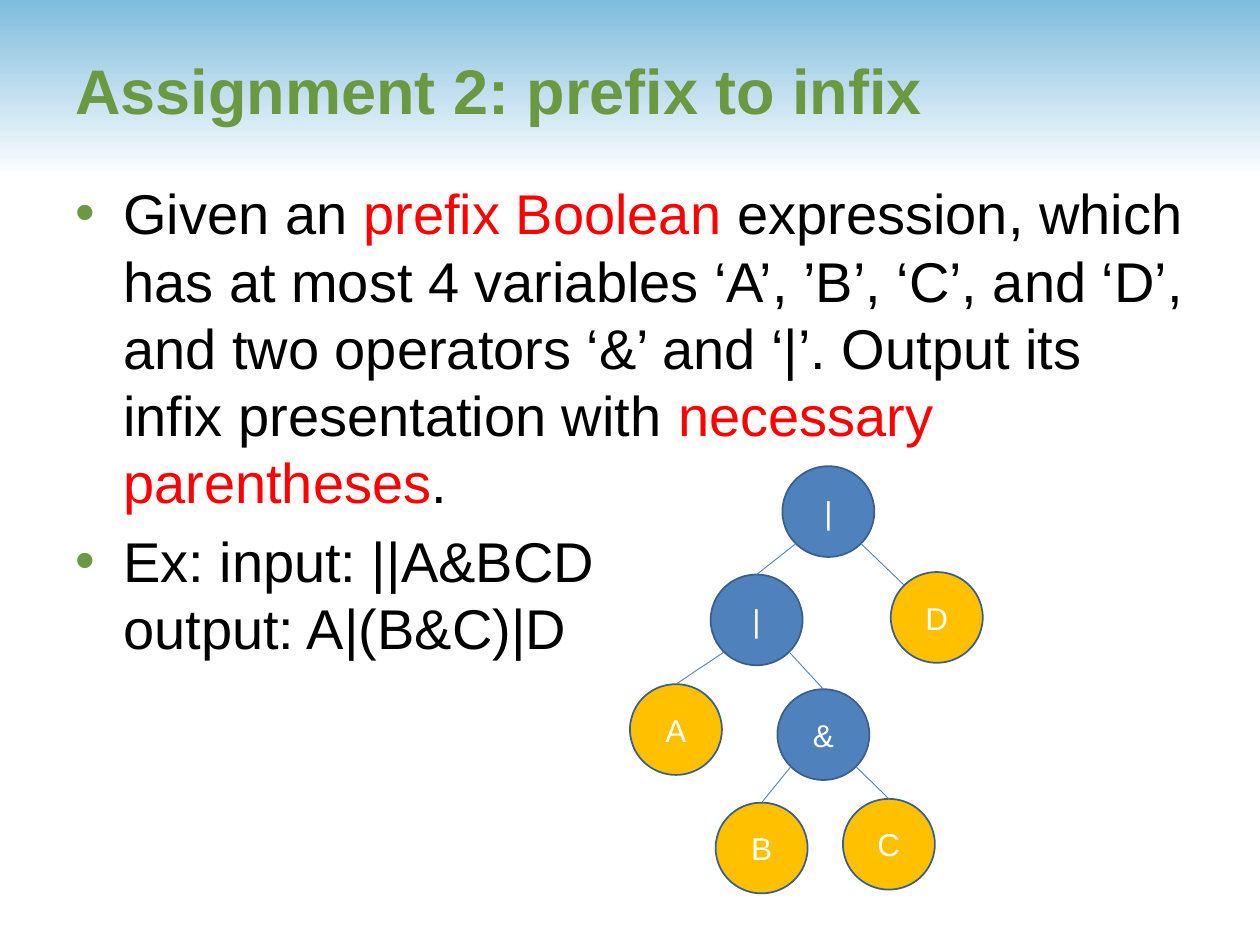
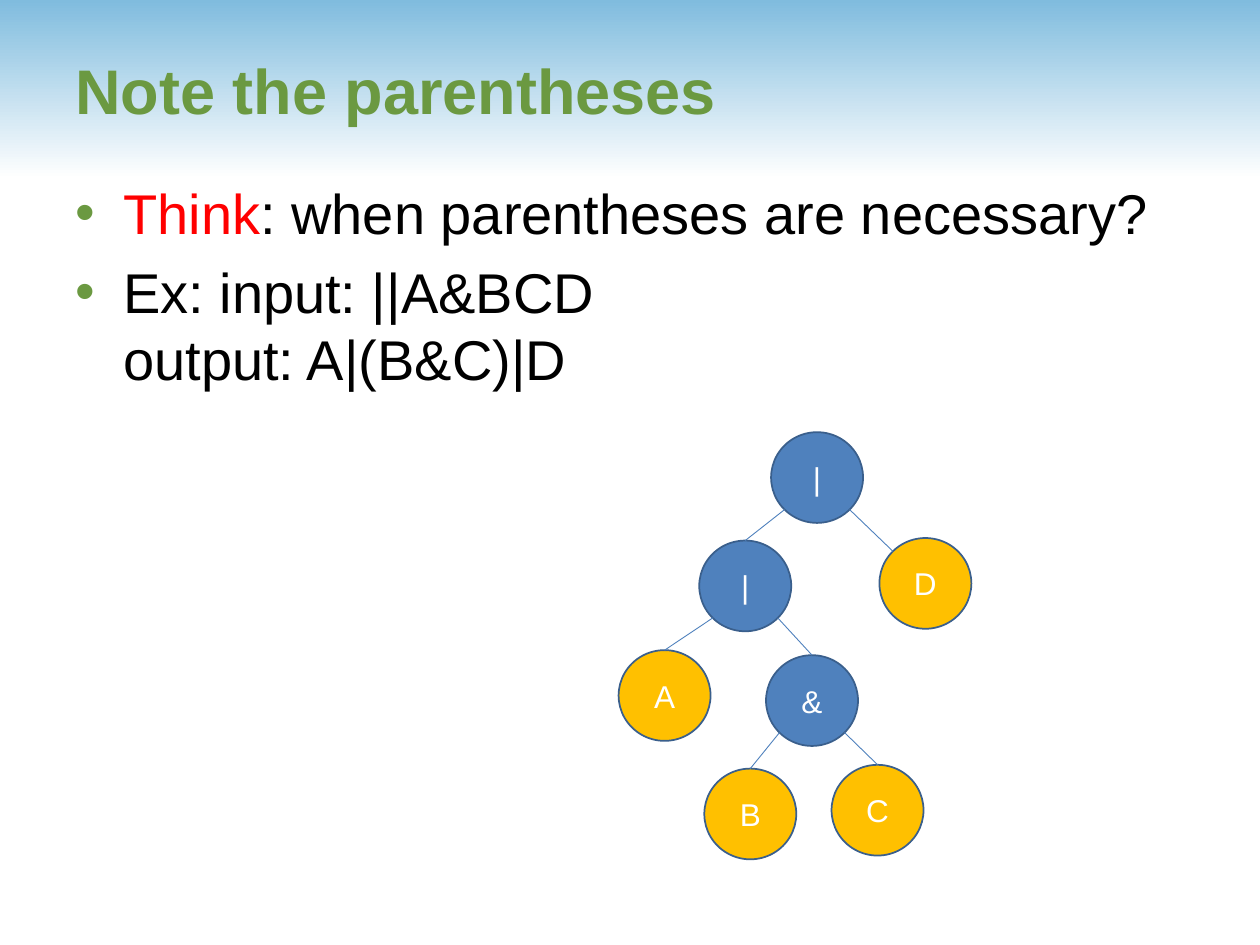
import dataclasses
import pptx
import pptx.util
import pptx.dml.color
import pptx.enum.shapes
import pptx.enum.text
import pptx.oxml
import pptx.oxml.ns

Inches = pptx.util.Inches
Pt = pptx.util.Pt
RGB = pptx.dml.color.RGBColor.from_string
SHAPE = pptx.enum.shapes.MSO_SHAPE
ALIGN = pptx.enum.text.PP_ALIGN
ANCHOR = pptx.enum.text.MSO_ANCHOR


@dataclasses.dataclass(frozen=True)
class Theme:
    """Hold the colours, type sizes and line widths of both slides."""
    font: str = "Arial"
    green: str = "6B9941"
    black: str = "000000"
    red: str = "FF0000"
    white: str = "FFFFFF"
    sky: str = "80BCDE"
    operator: str = "4F81BD"
    variable: str = "FFC000"
    outline: str = "3A5F8C"
    title_size: int = 36
    body_size: int = 32
    node_size: int = 18
    outline_width: float = 1
    edge_width: float = 0.5


THEME = Theme()
NODE_WIDTH, NODE_HEIGHT = 0.73, 0.72
DIAGONAL = 0.5 ** 0.5 / 2
PORTS = {
    "top": (0.5, 0),
    "top left": (0.5 - DIAGONAL, 0.5 - DIAGONAL),
    "bottom left": (0.5 - DIAGONAL, 0.5 + DIAGONAL),
    "bottom right": (0.5 + DIAGONAL, 0.5 + DIAGONAL),
}
NODES = {
    "root": ("|", 1.21, 0),
    "inner or": ("|", 0.64, 0.86),
    "D": ("D", 2.07, 0.84),
    "A": ("A", 0, 1.73),
    "and": ("&", 1.17, 1.77),
    "B": ("B", 0.68, 2.67),
    "C": ("C", 1.69, 2.64),
}
EDGES = [
    ("root", "bottom left", "inner or", "top"),
    ("root", "bottom right", "D", "top left"),
    ("inner or", "bottom left", "A", "top"),
    ("inner or", "bottom right", "and", "top"),
    ("and", "bottom left", "B", "top"),
    ("and", "bottom right", "C", "top"),
]
EXAMPLE = [("Ex: input: ||A&BCD\voutput: A|(B&C)|D", THEME.black)]
SLIDES = [
    ("Assignment 2: prefix to infix", [
        ("Given an ", THEME.black),
        ("prefix Boolean ", THEME.red),
        ("expression, which has at most 4 variables ‘A’, ’B’, ‘C’, and ‘D’, "
         "and two operators ‘&’ and ‘|’. Output its infix presentation with ", THEME.black),
        ("necessary parentheses", THEME.red),
        (".", THEME.black),
    ], (5, 3.7)),
    ("Note the parentheses", [
        ("Think", THEME.red),
        (": when parentheses are necessary?", THEME.black),
    ], (4.91, 3.43)),
]


def apply_format(target, values):
    """Set every attribute named in values on target."""
    for name, value in values.items():
        setattr(target, name, value)


def add_text(paragraph, text, size, colour, bold=False):
    """Append one formatted stretch of text, with its line breaks."""
    for index, line in enumerate(text.split("\v")):
        if index:
            paragraph.add_line_break()
        run = paragraph.add_run()
        run.text = line
        apply_format(run.font, {"name": THEME.font, "size": Pt(size), "bold": bold})
        run.font.color.rgb = RGB(colour)


def add_frame(slide, left, top, width, height, anchor):
    """Add a wrapping text area and return its text frame."""
    area = slide.shapes.add_textbox(Inches(left), Inches(top), Inches(width), Inches(height))
    apply_format(area.text_frame, {"word_wrap": True, "vertical_anchor": anchor})
    return area.text_frame


def add_band(slide):
    """Draw the sky gradient across the top of the slide."""
    band = slide.shapes.add_shape(SHAPE.PENTAGON, 0, 0, Inches(10), Inches(1.42))
    band.adjustments[0] = 0
    band.shadow.inherit = False
    band.line.fill.background()
    band.fill.gradient()
    band.fill.gradient_angle = 270
    for stop, colour in zip(band.fill.gradient_stops, (THEME.sky, THEME.white)):
        stop.color.rgb = RGB(colour)


def add_title(slide, title):
    """Write the slide title over the band."""
    heading = add_frame(slide, 0.5, 0.08, 9.08, 1.25, ANCHOR.MIDDLE)
    add_text(heading.paragraphs[0], title, THEME.title_size, THEME.green, bold=True)


def set_bullet(paragraph):
    """Give a paragraph a hanging green bullet and space above."""
    paragraph.space_before = Pt(THEME.body_size * 0.2)
    properties = paragraph._p.get_or_add_pPr()
    properties.set("marL", str(Inches(0.38)))
    properties.set("indent", str(Inches(-0.38)))
    namespace = pptx.oxml.ns.nsdecls("a")
    for markup in (f'<a:buClr {namespace}><a:srgbClr val="{THEME.green}"/></a:buClr>',
                   f'<a:buFont {namespace} typeface="{THEME.font}"/>',
                   f'<a:buChar {namespace} char="•"/>'):
        properties.append(pptx.oxml.parse_xml(markup))


def add_bullets(slide, bullets):
    """Write the bulleted paragraphs of the body."""
    body = add_frame(slide, 0.5, 1.37, 9.08, 4.5, ANCHOR.TOP)
    for index, pieces in enumerate(bullets):
        paragraph = body.add_paragraph() if index else body.paragraphs[0]
        set_bullet(paragraph)
        for text, colour in pieces:
            add_text(paragraph, text, THEME.body_size, colour)


def add_node(slide, symbol, left, top):
    """Draw one tree node, coloured as operator or variable."""
    node = slide.shapes.add_shape(SHAPE.OVAL, Inches(left), Inches(top),
                                  Inches(NODE_WIDTH), Inches(NODE_HEIGHT))
    node.shadow.inherit = False
    node.fill.solid()
    node.fill.fore_color.rgb = RGB(THEME.variable if symbol.isalpha() else THEME.operator)
    node.line.color.rgb = RGB(THEME.outline)
    node.line.width = Pt(THEME.outline_width)
    node.text_frame.vertical_anchor = ANCHOR.MIDDLE
    label = node.text_frame.paragraphs[0]
    label.alignment = ALIGN.CENTER
    add_text(label, symbol, THEME.node_size, THEME.white)


def add_edge(slide, start, end):
    """Draw a thin line between two points."""
    edge = slide.shapes.add_connector(pptx.enum.shapes.MSO_CONNECTOR.STRAIGHT,
                                      *map(Inches, start + end))
    edge.line.color.rgb = RGB(THEME.operator)
    edge.line.width = Pt(THEME.edge_width)
    edge._element.spPr.append(pptx.oxml.parse_xml(
        f'<a:effectLst {pptx.oxml.ns.nsdecls("a")}/>'))


def add_tree(slide, left, top):
    """Draw the expression tree with its top left corner at left, top."""
    def port(name, side):
        """Return the point on a node's outline at the given side."""
        _, x, y = NODES[name]
        across, down = PORTS[side]
        return left + x + across * NODE_WIDTH, top + y + down * NODE_HEIGHT

    for symbol, x, y in NODES.values():
        add_node(slide, symbol, left + x, top + y)
    for parent, parent_side, child, child_side in EDGES:
        add_edge(slide, port(parent, parent_side), port(child, child_side))


def main():
    """Build both slides and save the presentation."""
    deck = pptx.Presentation()
    apply_format(deck, {"slide_width": Inches(10), "slide_height": Inches(7.5)})
    for title, statement, tree_corner in SLIDES:
        slide = deck.slides.add_slide(deck.slide_layouts[6])
        add_band(slide)
        add_title(slide, title)
        add_bullets(slide, [statement, EXAMPLE])
        add_tree(slide, *tree_corner)
    deck.save("out.pptx")


if __name__ == "__main__":
    main()
